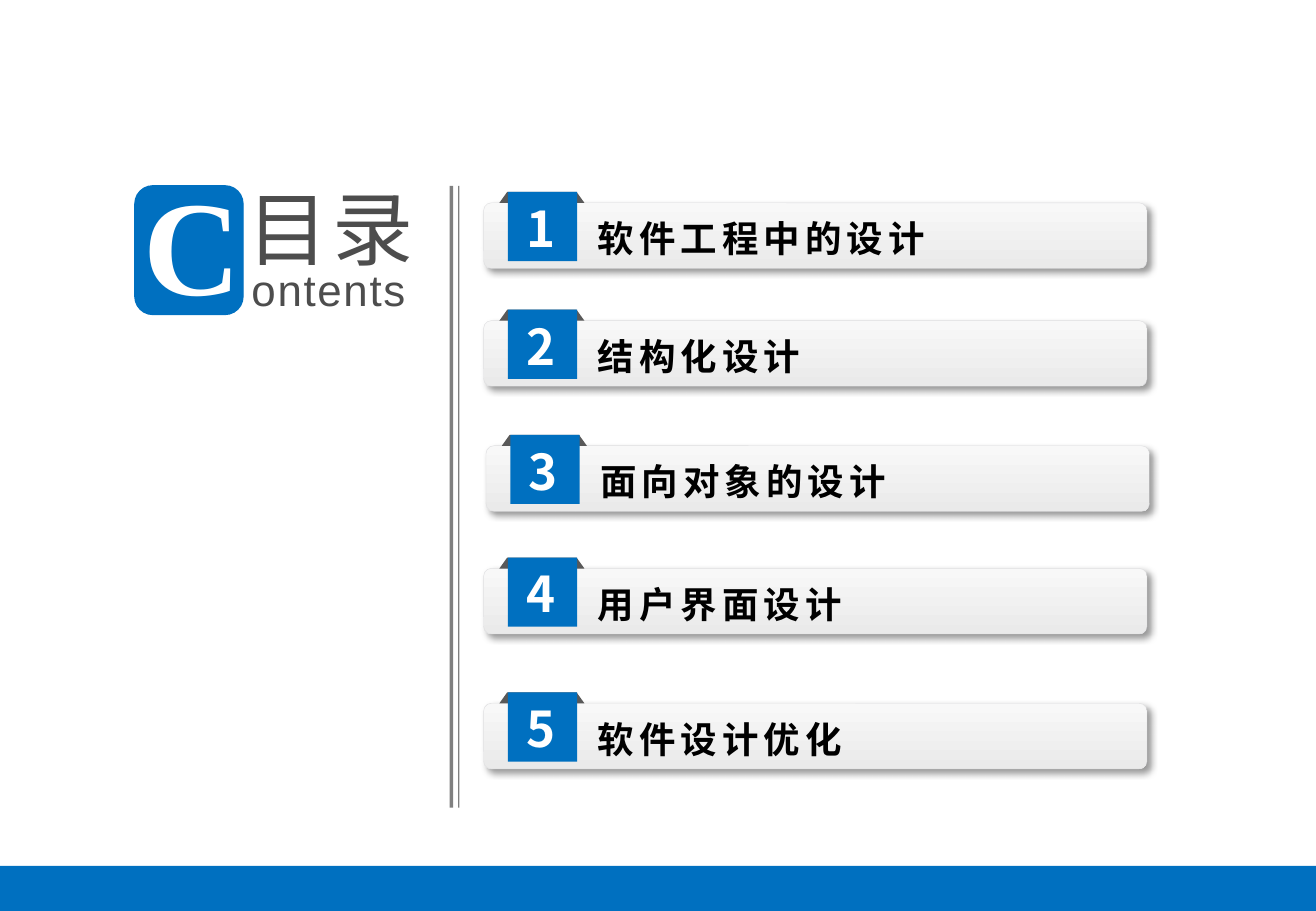
from lxml.etree import SubElement
from pptx import Presentation
from pptx.dml.color import RGBColor
from pptx.enum.shapes import MSO_SHAPE
from pptx.oxml.ns import qn
from pptx.util import Inches, Pt

BLUE = RGBColor(0x00, 0x70, 0xC0)
WHITE = RGBColor(0xFF, 0xFF, 0xFF)
BLACK = RGBColor(0x00, 0x00, 0x00)
INK = RGBColor(0x4D, 0x4D, 0x4D)
GRAY = RGBColor(0x80, 0x80, 0x80)
FOLD = RGBColor(0x59, 0x59, 0x59)
EDGE = RGBColor(0xDF, 0xDF, 0xE1)
LIGHT = RGBColor(0xF8, 0xF8, 0xF8)
SHADE = RGBColor(0xEA, 0xEA, 0xEA)
SANS = "Noto Sans CJK SC"

TOPICS = [
    ("软件工程中的设计", 3.98, 1.58),
    ("结构化设计", 3.98, 2.55),
    ("面向对象的设计", 4.0, 3.58),
    ("用户界面设计", 3.98, 4.59),
    ("软件设计优化", 3.98, 5.7),
]


def add_box(shapes, kind, x, y, w, h, color):
    box = shapes.add_shape(kind, Inches(x), Inches(y), Inches(w), Inches(h))
    box.shadow.inherit = False
    box.fill.solid()
    box.fill.fore_color.rgb = color
    box.line.fill.background()
    return box


def add_text(shapes, text, x, y, w, h, size, color,
             face=SANS, bold=False, gap=0, inset=(0, 0)):
    frame = shapes.add_textbox(Inches(x), Inches(y), Inches(w), Inches(h)).text_frame
    frame.word_wrap = True
    frame.margin_left = frame.margin_right = Inches(inset[0])
    frame.margin_top = frame.margin_bottom = Inches(inset[1])
    para = frame.paragraphs[0]
    para.text = text
    para.font.name = face
    para.font.size = Pt(size)
    para.font.bold = bold
    para.font.color.rgb = color
    props = para._p.pPr.find(qn("a:defRPr"))
    props.set("spc", str(gap * 100))
    SubElement(props, qn("a:ea")).set("typeface", face)


def add_shadow(shape):
    effects = shape._element.spPr.find(qn("a:effectLst"))
    outer = SubElement(effects, qn("a:outerShdw"), blurRad=str(Pt(4)),
                       dist=str(Pt(3)), dir="2700000", algn="tl", rotWithShape="0")
    color = SubElement(outer, qn("a:srgbClr"), val="000000")
    SubElement(color, qn("a:alpha"), val="40000")


def add_title(shapes, x, y):
    badge = add_box(shapes, MSO_SHAPE.ROUNDED_RECTANGLE, x, y, 0.89, 1.06, BLUE)
    badge.line.color.rgb = BLUE
    badge.line.width = Pt(0.75)
    add_text(shapes, "C", x + 0.07, y - 0.21, 0.85, 1.28, 80, WHITE,
             "Liberation Serif", bold=True)
    add_text(shapes, "目录", x + 0.93, y - 0.06, 1.5, 0.97, 48, INK, gap=2)
    add_text(shapes, "ontents", x + 0.96, y + 0.63, 1.5, 0.42, 26, INK,
             "Liberation Sans", gap=1)


def add_rule(shapes, x, y, h):
    for shift, width in ((0, 0.03), (0.07, 0.01)):
        add_box(shapes, MSO_SHAPE.RECTANGLE, x + shift, y, width, h, GRAY)


def add_topic(shapes, number, text, x, y):
    group = shapes.add_group_shape().shapes
    bar = add_box(group, MSO_SHAPE.ROUNDED_RECTANGLE, x, y + 0.09, 5.46, 0.54, LIGHT)
    bar.adjustments[0] = 0.12
    bar.fill.gradient()
    bar.fill.gradient_angle = 270
    for stop, color, place in zip(bar.fill.gradient_stops, (LIGHT, SHADE), (0, 1)):
        stop.color.rgb = color
        stop.position = place
    bar.line.color.rgb = EDGE
    bar.line.width = Pt(0.25)
    add_shadow(bar)
    fold = add_box(group, MSO_SHAPE.TRAPEZOID, x + 0.13, y, 0.7, 0.09, FOLD)
    fold.adjustments[0] = 0.72
    add_box(group, MSO_SHAPE.RECTANGLE, x + 0.2, y, 0.57, 0.57, BLUE)
    add_text(group, text, x + 0.86, y + 0.16, 4.32, 0.45, 21.6, BLACK,
             bold=True, gap=3, inset=(0.08, 0.04))
    add_text(group, str(number), x + 0.27, y + 0.01, 0.42, 0.57, 29.2, WHITE,
             bold=True, inset=(0.08, 0.04))


def main():
    deck = Presentation()
    deck.slide_width = Inches(10.83)
    deck.slide_height = Inches(7.5)
    shapes = deck.slides.add_slide(deck.slide_layouts[6]).shapes
    add_title(shapes, 1.11, 1.53)
    add_rule(shapes, 3.7, 1.53, 5.12)
    for number, (text, x, y) in enumerate(TOPICS, 1):
        add_topic(shapes, number, text, x, y)
    add_box(shapes, MSO_SHAPE.RECTANGLE, 0, 7.13, 10.83, 0.37, BLUE)
    deck.save("out.pptx")


if __name__ == "__main__":
    main()
